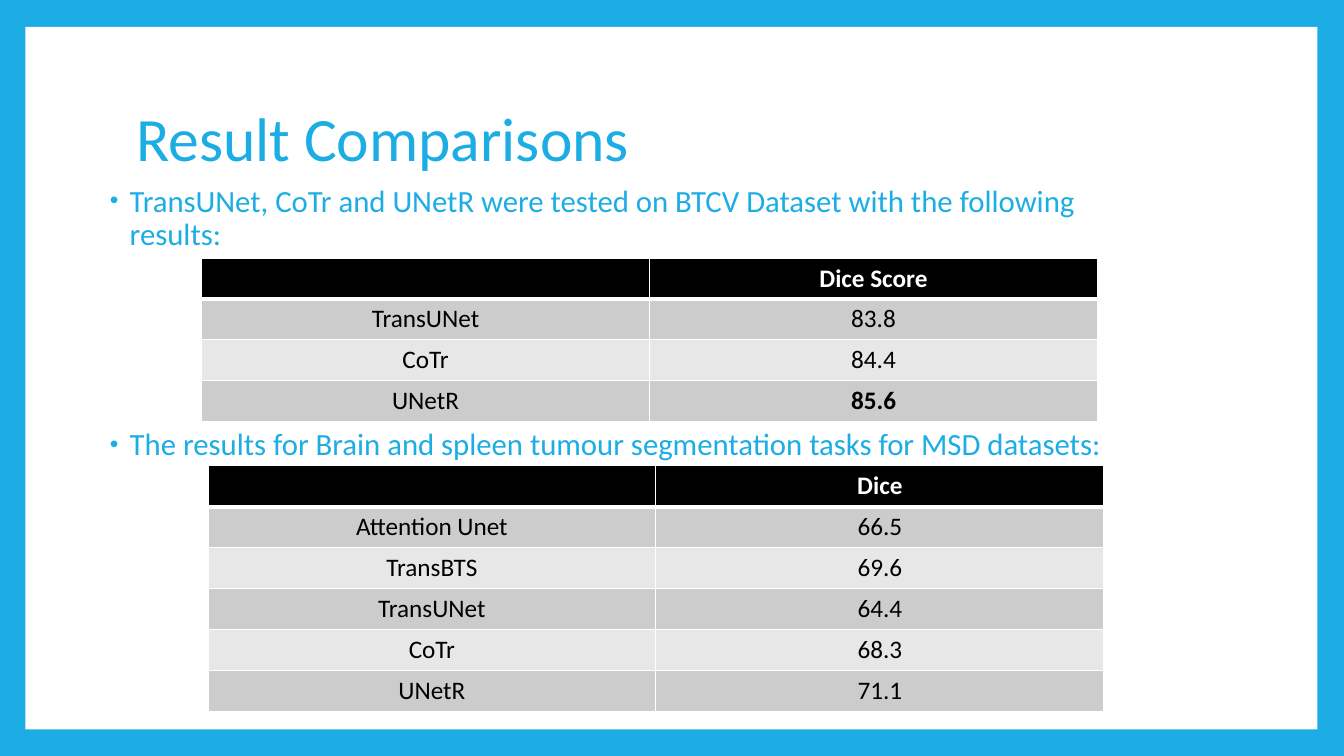
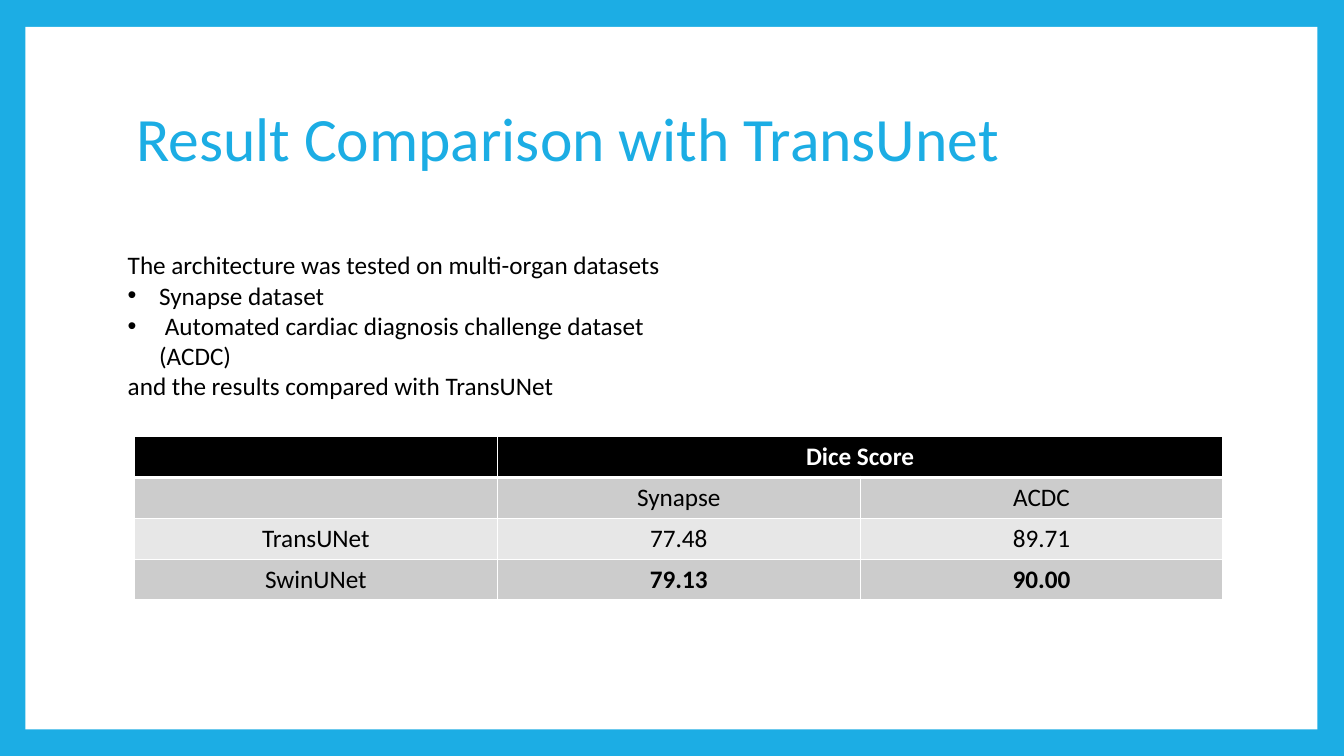
from lxml.etree import SubElement
from pptx import Presentation
from pptx.dml.color import RGBColor
from pptx.enum.shapes import MSO_SHAPE as Shape
from pptx.enum.text import MSO_ANCHOR as Anchor, PP_ALIGN as Align
from pptx.oxml.ns import qn
from pptx.util import Cm, Pt

FONT = "Calibri"
COLORS = {"accent": "1CADE4", "paper": "FFFFFF", "ink": "000000",
          "band_dark": "CCCCCC", "band_light": "E7E7E7"}
ROW_HEIGHT = 1.03


def rgb(name):
    return RGBColor.from_string(COLORS[name])


def fill_solid(target, color):
    target.fill.solid()
    target.fill.fore_color.rgb = rgb(color)


def style_para(para, size, color, bold=False):
    for font in [para.font] + [span.font for span in para.runs]:
        font.name = FONT
        font.size = Pt(size)
        font.bold = bold
        font.color.rgb = rgb(color)


def add_bullet(para, indent, percent=100):
    """Hang the paragraph by indent (cm) behind a round bullet."""
    props = para._p.get_or_add_pPr()
    props.set("indent", str(-Cm(indent)))
    props.set("marL", str(int(props.get("marL", 0)) + Cm(indent)))
    SubElement(props, qn("a:buSzPct"), val=str(percent * 1000))
    SubElement(props, qn("a:buFont"), typeface="Arial")
    SubElement(props, qn("a:buChar"), char="•")


def add_text(page, left, top, width, height, text):
    box = page.shapes.add_textbox(Cm(left), Cm(top), Cm(width), Cm(height))
    frame = box.text_frame
    frame.word_wrap = True
    frame.text = text
    return frame


def add_page(deck, title):
    """Add a slide with the coloured border, white panel and title."""
    page = deck.slides.add_slide(deck.slide_layouts[6])
    fill_solid(page.background, "accent")
    panel = page.shapes.add_shape(Shape.RECTANGLE, Cm(0.64), Cm(0.68),
                                  Cm(32.56), Cm(17.7))
    panel.shadow.inherit = False
    panel.line.fill.background()
    fill_solid(panel, "paper")
    frame = add_text(page, 3.18, 1.7, 27.43, 3.76, title)
    frame.vertical_anchor = Anchor.MIDDLE
    para = frame.paragraphs[0]
    para.line_spacing = 0.9
    style_para(para, 44, "accent")
    return page


def add_statement(page, top, text):
    """Add a large bullet that introduces a table."""
    para = add_text(page, 2.39, top, 27, 1.9, text).paragraphs[0]
    para.line_spacing = 0.9
    para._p.get_or_add_pPr().set("marL", str(Cm(0.13)))
    add_bullet(para, 0.5, 80)
    style_para(para, 22, "accent")


def add_description(page, lines):
    """Add plain lines; a line is (text, has_bullet)."""
    frame = add_text(page, 2.97, 6.17, 15.16, 4.11,
                     "\n".join(text for text, _ in lines))
    for para, (_, has_bullet) in zip(frame.paragraphs, lines):
        if has_bullet:
            add_bullet(para, 0.79)
        style_para(para, 18, "ink")


def set_borders(cell, row):
    """Draw white cell borders, thicker below the header row."""
    widths = {"L": 1, "R": 1, "T": 3 if row == 1 else 1, "B": 3 if row == 0 else 1}
    props = cell._tc.get_or_add_tcPr()
    for side, width in widths.items():
        line = SubElement(props, qn(f"a:ln{side}"), w=str(Pt(width)))
        solid = SubElement(line, qn("a:solidFill"))
        SubElement(solid, qn("a:srgbClr"), val=COLORS["paper"])


def add_score_table(page, left, top, width, rows, best=()):
    """Add a banded table; best lists the (row, column) cells set in bold."""
    count = len(rows[0])
    table = page.shapes.add_table(len(rows), count, Cm(left), Cm(top), Cm(width),
                                  Cm(ROW_HEIGHT * len(rows))).table
    table.horz_banding = False
    for r, values in enumerate(rows):
        table.rows[r].height = Cm(ROW_HEIGHT)
        band = "ink" if r == 0 else "band_dark" if r % 2 else "band_light"
        for c, value in enumerate(values):
            cell = table.cell(r, c)
            cell.text = value
            set_borders(cell, r)
            fill_solid(cell, band)
            para = cell.text_frame.paragraphs[0]
            para.alignment = Align.CENTER
            style_para(para, 18, "ink" if r else "paper", r == 0 or (r, c) in best)
    return table


def add_comparisons(deck):
    page = add_page(deck, "Result Comparisons")
    add_statement(page, 4.55, "TransUNet, CoTr and UNetR were tested on BTCV "
                              "Dataset with the following results:")
    add_score_table(page, 5.08, 6.5, 22.58, [
        ("", "Dice Score"), ("TransUNet", "83.8"), ("CoTr", "84.4"),
        ("UNetR", "85.6")], best=[(3, 1)])
    add_statement(page, 10.69, "The results for Brain and spleen tumour "
                               "segmentation tasks for MSD datasets:")
    add_score_table(page, 5.24, 11.74, 22.58, [
        ("", "Dice"), ("Attention Unet", "66.5"), ("TransBTS", "69.6"),
        ("TransUNet", "64.4"), ("CoTr", "68.3"), ("UNetR", "71.1")])


def add_transunet_comparison(deck):
    page = add_page(deck, "Result Comparison with TransUnet")
    add_description(page, [
        ("The architecture was tested on multi-organ datasets", False),
        ("Synapse dataset", True),
        (" Automated cardiac diagnosis challenge dataset (ACDC)", True),
        ("and the results compared with TransUNet", False)])
    table = add_score_table(page, 3.39, 11, 27.43, [
        ("", "Dice Score", ""), ("", "Synapse", "ACDC"),
        ("TransUNet", "77.48", "89.71"), ("SwinUNet", "79.13", "90.00")],
        best=[(3, 1), (3, 2)])
    table.cell(0, 1).merge(table.cell(0, 2))


def main():
    deck = Presentation()
    deck.slide_width, deck.slide_height = Cm(33.87), Cm(19.05)
    add_comparisons(deck)
    add_transunet_comparison(deck)
    deck.save("out.pptx")


if __name__ == "__main__":
    main()
